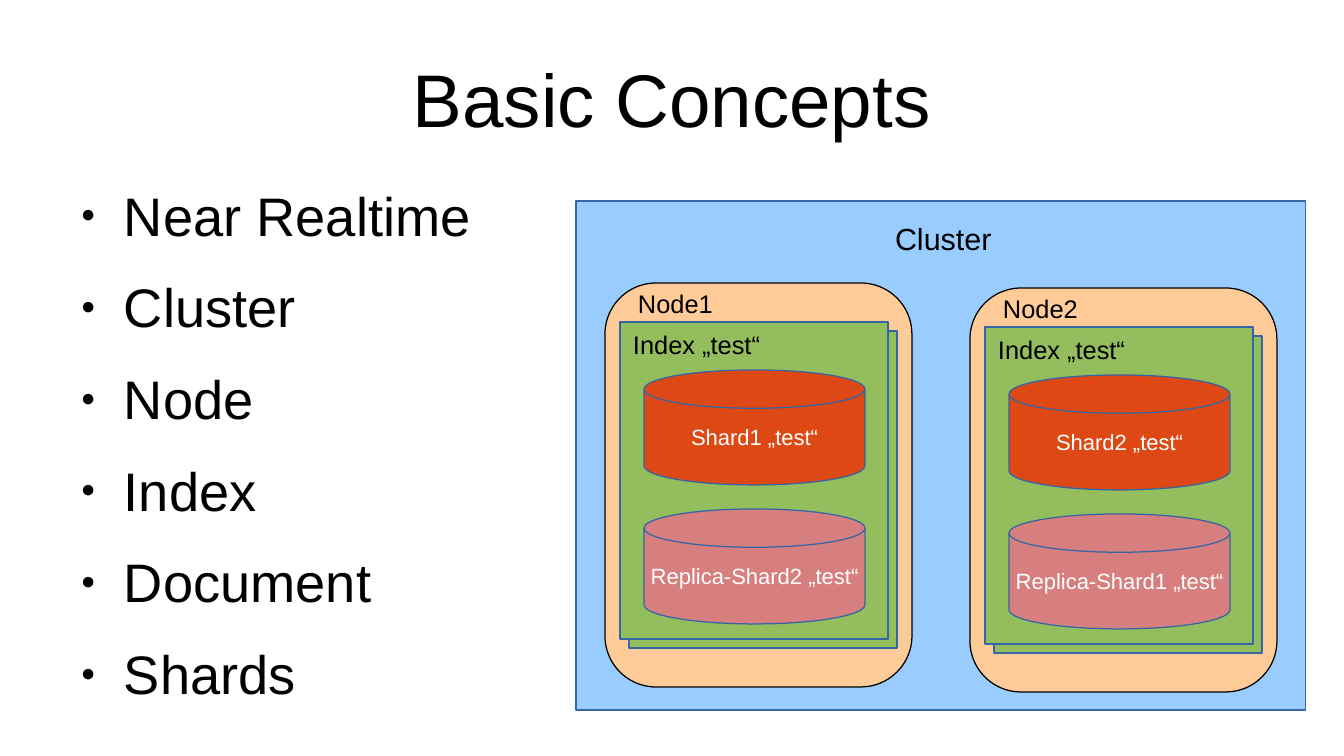
from lxml import etree
from pptx import Presentation, util as u
from pptx.dml.color import RGBColor
from pptx.enum import shapes, text
from pptx.oxml.ns import qn

PX = 914400 / 122
BLACK = RGBColor(0x00, 0x00, 0x00)
WHITE = RGBColor(0xFF, 0xFF, 0xFF)
BLUE_LINE = RGBColor(0x34, 0x65, 0xA4)
CLUSTER_BLUE = RGBColor(0x99, 0xCC, 0xFF)
NODE_PEACH = RGBColor(0xFF, 0xCC, 0x99)
INDEX_GREEN = RGBColor(0x94, 0xBD, 0x5E)
SHARD_ORANGE = RGBColor(0xDD, 0x48, 0x14)
REPLICA_PINK = RGBColor(0xD7, 0x7F, 0x7F)
FORM = shapes.MSO_SHAPE

deck = Presentation()
deck.slide_width, deck.slide_height = round(1344 * PX), round(756 * PX)
slide = deck.slides.add_slide(deck.slide_layouts[6])


def add_block(form, box, fill, line=BLUE_LINE, caption=""):
    block = slide.shapes.add_shape(form, *[round(v * PX) for v in box])
    block.shadow.inherit = False
    block.fill.solid()
    block.fill.fore_color.rgb = fill
    block.line.color.rgb = line
    block.line.width = 0
    if caption:
        frame = block.text_frame
        frame.text = caption
        frame.word_wrap = False
        frame.vertical_anchor = text.MSO_ANCHOR.MIDDLE
        style_font(frame, 13, WHITE, text.PP_ALIGN.CENTER)


def style_font(frame, size, color=BLACK, align=text.PP_ALIGN.LEFT):
    for paragraph in frame.paragraphs:
        paragraph.alignment = align
        paragraph.font.name = "Arial"
        paragraph.font.size = u.Pt(size)
        paragraph.font.color.rgb = color


# Cluster and its two nodes, the second one shifted right and slightly down
add_block(FORM.RECTANGLE, (576, 201, 730, 509), CLUSTER_BLUE)
labels = [("Cluster", (883, 214, 121, 46), 18)]
for number, replica, x, y in ((1, 2, 605, 283), (2, 1, 970, 288)):
    add_block(FORM.FLOWCHART_ALTERNATE_PROCESS, (x, y, 307, 404), NODE_PEACH, BLACK)
    for dx, dy in ((24, 48), (15, 39)):
        add_block(FORM.FLOWCHART_PROCESS, (x + dx, y + dy, 268, 317), INDEX_GREEN)
    for caption, dy, fill in (
        (f"Shard{number} „test“", 87, SHARD_ORANGE),
        (f"Replica-Shard{replica} „test“", 226, REPLICA_PINK),
    ):
        add_block(FORM.FLOWCHART_MAGNETIC_DISK, (x + 39, y + dy, 221, 115), fill, caption=caption)
    labels.append(("Index „test“", (x + 16, y + 40, 153, 40), 15))
    labels.append((f"Node{number}", (x + 21, y - 1, 99, 40), 15))

# Diagram labels
for wording, box, size in labels:
    label = slide.shapes.add_textbox(*[round(v * PX) for v in box]).text_frame
    label.text = wording
    label.word_wrap = False
    style_font(label, size)

# Title and list of concepts
concepts = ["Near Realtime", "Cluster", "Node", "Index", "Document", "Shards"]
headline, concept_list = [
    slide.shapes.add_textbox(*[round(v * PX) for v in box]).text_frame
    for box in ((67, 34, 1210, 127), (67, 182, 500, 520))
]
headline.text = "Basic Concepts"
headline.vertical_anchor = text.MSO_ANCHOR.MIDDLE
concept_list.text = "\n".join(concepts)
for frame in (headline, concept_list):
    frame.word_wrap = True
    frame.margin_left = frame.margin_right = frame.margin_top = frame.margin_bottom = 0
style_font(headline, 44, align=text.PP_ALIGN.CENTER)
style_font(concept_list, 32)

# Bullets
for concept in concept_list.paragraphs:
    concept.space_after = u.Pt(15.7)
    properties = concept._p.get_or_add_pPr()
    properties.set("marL", str(round(57 * PX)))
    properties.set("indent", str(round(-43 * PX)))
    bullet = [("a:buSzPct", "val", "45000"), ("a:buFont", "typeface", "Arial"), ("a:buChar", "char", "●")]
    position = properties.index(properties.find(qn("a:defRPr")))
    for offset, (tag, key, value) in enumerate(bullet):
        mark = etree.Element(qn(tag))
        mark.set(key, value)
        properties.insert(position + offset, mark)

deck.save("out.pptx")
